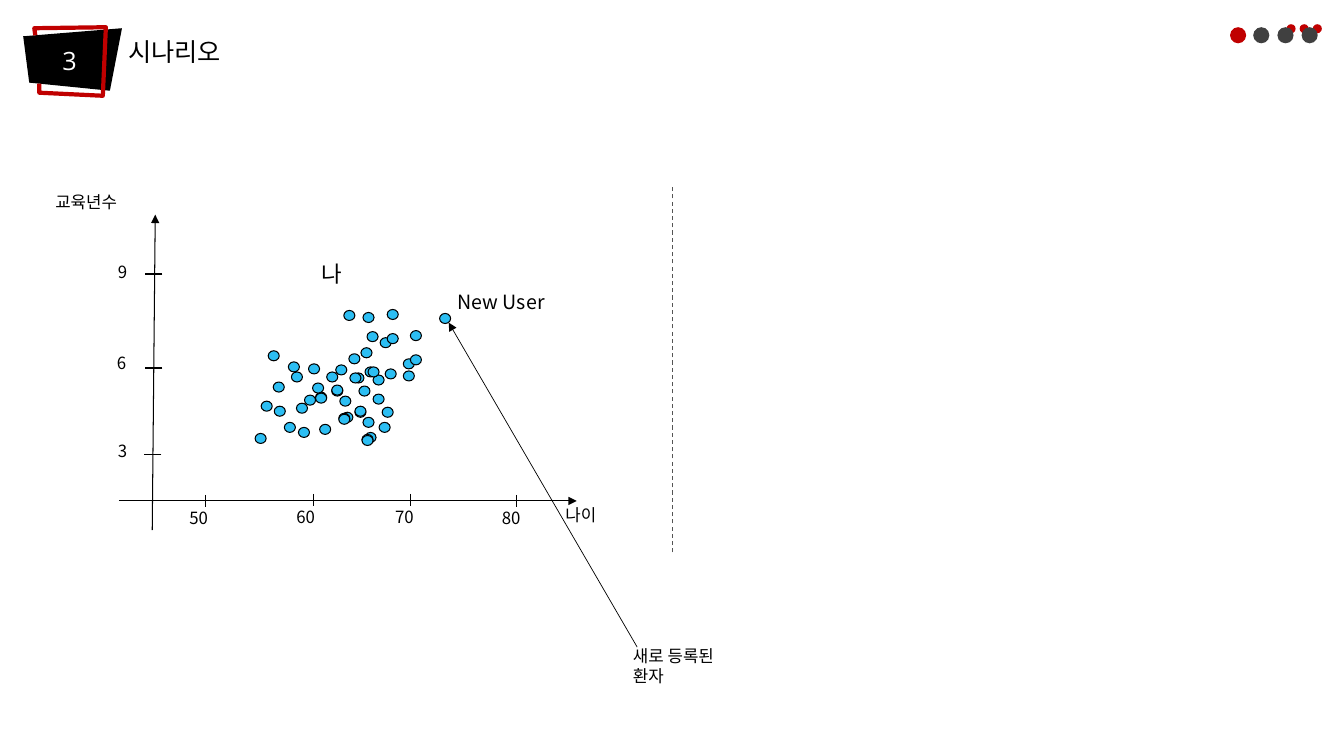
import pptx
import pptx.util
import pptx.dml.color
import pptx.enum.shapes
import pptx.enum.text
import pptx.oxml.ns
from lxml import etree

SIZE = (1333, 750)
SANS, KOREAN = "Open Sans", "Noto Sans CJK KR"
BLACK, WHITE, RED, GRAY, BLUE = "000000", "FFFFFF", "C00000", "404040", "2CBEF3"

TITLE = ("시나리오", 117, 16, 121, 50)
BADGE = [(23, 36), (29, 82), (109, 90), (121, 28)]
FRAME = [(35, 35), (34, 28), (105, 27), (102, 95), (39, 92), (39, 83)]
SMALL = [1302, 1289, 1276]
LARGE = [(1267, GRAY), (1243, GRAY), (1220, RED), (1291, GRAY)]

AXES = [(118, 497, 572, 497), (151, 526, 154, 213)]
AGES = [("50", 204, 178, 491), ("60", 311, 284, 490),
        ("70", 407, 382, 490), ("80", 512, 488, 491)]
YEARS = [("3", 451, 107, 432, 143), ("6", 365, 106, 345, 144),
         ("9", 272, 107, 255, 144)]
USERS = [
    (377, 335), (400, 356), (350, 370), (346, 351), (370, 372), (376, 419),
    (324, 369), (339, 409), (362, 429), (333, 362), (356, 383), (379, 404),
    (400, 368), (362, 364), (358, 345), (382, 366), (329, 383), (352, 404),
    (347, 370), (370, 391), (365, 364), (259, 398), (282, 419), (302, 392),
    (271, 379), (294, 400), (317, 421), (337, 393), (360, 414), (253, 430),
    (272, 403), (296, 424), (313, 389), (336, 410), (359, 431), (266, 348),
    (289, 369), (313, 390), (336, 411), (359, 432), (286, 359), (310, 380),
    (306, 361), (329, 382), (352, 403), (341, 308), (364, 329), (360, 310),
    (384, 331), (407, 352), (384, 307), (407, 328), (436, 311),
]
LABELS = [
    ("3", 52, 40, 34, 40, 18, SANS, WHITE),
    ("나이", 551, 496, 70, 38, 12, KOREAN, BLACK),
    ("교육년수", 45, 185, 125, 30, 12, KOREAN, BLACK),
    ("새로 등록된 환자", 618, 636, 133, 30, 12, KOREAN, BLACK),
    ("New User", 444, 283, 114, 34, 14, KOREAN, BLACK),
    ("나", 309, 253, 40, 37, 16, KOREAN, BLACK),
]

SCALE = 9144


def emu(*px):
    return [pptx.util.Emu(n * SCALE) for n in px]


def paint(color, code):
    color.rgb = pptx.dml.color.RGBColor.from_string(code)


def style(shape, fill=None, line=None, width=0.75):
    shape.shadow.inherit = False
    if fill:
        shape.fill.solid()
        paint(shape.fill.fore_color, fill)
    else:
        shape.fill.background()
    if line:
        paint(shape.line.color, line)
        shape.line.width = pptx.util.Pt(width)
    else:
        shape.line.fill.background()


def shape_path(points, close):
    pen = slide.shapes.build_freeform(*points[0], scale=SCALE)
    pen.add_line_segments(points[1:], close=close)
    return pen.convert_to_shape()


def oval(x, y, w, h, fill, line=None):
    kind = pptx.enum.shapes.MSO_SHAPE.OVAL
    style(slide.shapes.add_shape(kind, *emu(x, y, w, h)), fill, line)


def rule(ends, width=0.75, code=BLACK, arrow=False, dash=False):
    kind = pptx.enum.shapes.MSO_CONNECTOR.STRAIGHT
    line = slide.shapes.add_connector(kind, *emu(*ends))
    paint(line.line.color, code)
    line.line.width = pptx.util.Pt(width)
    if dash:
        line.line.dash_style = pptx.enum.dml.MSO_LINE.DASH
    qn = pptx.oxml.ns.qn
    props = line._element.spPr
    if arrow:
        tail = etree.SubElement(props.find(qn("a:ln")), qn("a:tailEnd"))
        tail.set("type", "triangle")
    etree.SubElement(props, qn("a:effectLst"))


def write(box, text, size, face, code):
    frame = box.text_frame
    frame.text = text
    frame.word_wrap = True
    frame.vertical_anchor = pptx.enum.text.MSO_ANCHOR.TOP
    para = frame.paragraphs[0]
    para.alignment = pptx.enum.text.PP_ALIGN.LEFT
    font = para.runs[0].font
    font.size = pptx.util.Pt(size)
    font.name = face
    paint(font.color, code)
    qn = pptx.oxml.ns.qn
    east = etree.SubElement(font._element, qn("a:ea"))
    east.set("typeface", face)


def label(text, x, y, w, h, size=12, face=KOREAN, code=BLACK):
    write(slide.shapes.add_textbox(*emu(x, y, w, h)), text, size, face, code)


deck = pptx.Presentation()
deck.slide_width, deck.slide_height = emu(*SIZE)
slide = deck.slides.add_slide(deck.slide_layouts[5])

text, *area = TITLE
title = slide.shapes.title
title.left, title.top, title.width, title.height = emu(*area)
write(title, text, 18, SANS, BLACK)
title.text_frame.paragraphs[0].line_spacing = 1.5
title.text_frame.auto_size = pptx.enum.text.MSO_AUTO_SIZE.NONE

style(shape_path(BADGE, True), BLACK)
style(shape_path(FRAME, False), None, RED, 3)
for x in SMALL:
    oval(x, 24, 9, 9, RED)
for x, code in LARGE:
    oval(x, 27, 16, 16, code)

rule((667, 548, 667, 185), code="545454", dash=True)
for ends in AXES:
    rule(ends, arrow=True)
for x, y in USERS:
    oval(x, y, 11, 10, BLUE, BLACK)
for text, x, left, top in AGES:
    rule((x, top, x, top + 12), 1)
    label(text, left, top + 8, 55, 38)
for text, y, left, top, tick in YEARS:
    rule((tick + 17, y, tick, y), 1)
    label(text, left, top, 42, 38)
rule((632, 642, 445, 320), 0.5, arrow=True)
for item in LABELS:
    label(*item)

deck.save("out.pptx")
